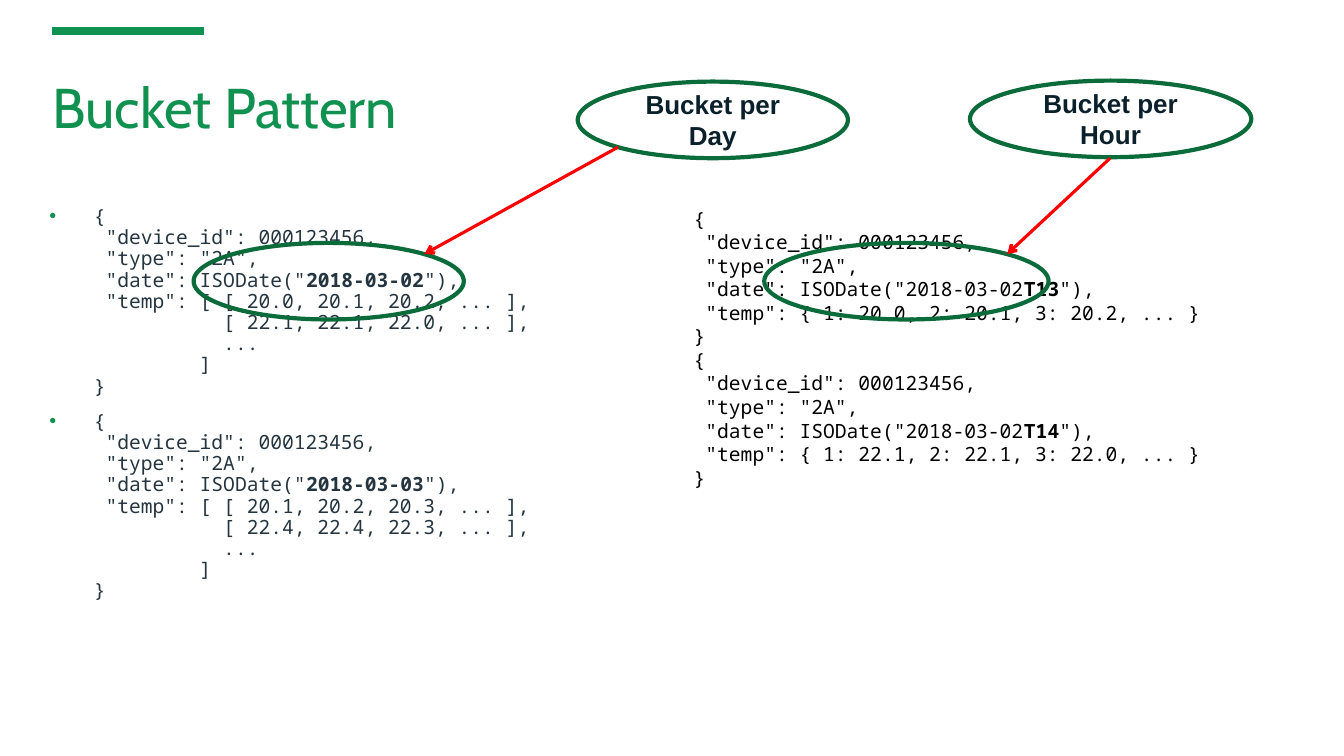
"""Build the Bucket Pattern slide: sensor readings bucketed per day and per hour."""
import pptx
import pptx.dml.color
import pptx.enum.shapes
import pptx.enum.text
import pptx.oxml
import pptx.oxml.ns
import pptx.util
from lxml import etree

Inches = pptx.util.Inches
Pt = pptx.util.Pt
qn = pptx.oxml.ns.qn

THEME = {
    "accent": "10914F", "ring": "0C6B3A", "arrow": "FF0000",
    "title": {"name": "Cabin", "size": Pt(40), "color": "10914F"},
    "day_code": {"name": "Noto Sans Mono", "size": Pt(14), "color": "243540"},
    "hour_code": {"name": "Noto Sans Mono", "size": Pt(14), "color": "000000"},
    "label": {"name": "Arial", "size": Pt(18.6), "color": "0A202A", "bold": True},
}

HEAD = '{\n "device_id": 000123456,\n "type": "2A",\n "date": ISODate("'
DAY_BUCKETS = [
    ("2018-03-02", "20.0, 20.1, 20.2", "22.1, 22.1, 22.0"),
    ("2018-03-03", "20.1, 20.2, 20.3", "22.4, 22.4, 22.3"),
]
HOUR_BUCKETS = [
    ("T13", "1: 20.0, 2: 20.1, 3: 20.2"),
    ("T14", "1: 22.1, 2: 22.1, 3: 22.0"),
]


def write(paragraph, text, style, **extra):
    for number, line in enumerate(text.split("\n")):
        if number:
            paragraph.add_line_break()
            line_break = paragraph._p.findall(qn("a:br"))[-1]
            properties = etree.SubElement(line_break, qn("a:rPr"), sz=str(int(style["size"].pt * 100)))
            etree.SubElement(properties, qn("a:latin"), typeface=style["name"])
        if line:
            run = paragraph.add_run()
            run.text = line
            for key, value in {**style, **extra}.items():
                if key == "color":
                    run.font.color.rgb = pptx.dml.color.RGBColor.from_string(value)
                else:
                    setattr(run.font, key, value)


def draw_line(start, end, color, width):
    line = slide.shapes.add_connector(
        pptx.enum.shapes.MSO_CONNECTOR.STRAIGHT, *map(Inches, start + end))
    line.line.color.rgb = pptx.dml.color.RGBColor.from_string(color)
    line.line.width = Pt(width)
    etree.SubElement(line._element.spPr, qn("a:effectLst"))
    return line


deck = pptx.Presentation()
deck.slide_width, deck.slide_height = Inches(13.33), Inches(7.5)
slide = deck.slides.add_slide(deck.slide_layouts[3])
title, day_code, hour_code = slide.placeholders

for region, box in [
    (title, (0.42, 0, 11.5, 1.45)),
    (day_code, (0.33, 2, 6.22, 4.76)),
    (hour_code, (6.78, 2, 6.22, 4.76)),
]:
    region.left, region.top, region.width, region.height = map(Inches, box)
    region.text_frame.auto_size = pptx.enum.text.MSO_AUTO_SIZE.NONE
    region.text_frame.word_wrap = True

title.text_frame.vertical_anchor = pptx.enum.text.MSO_ANCHOR.BOTTOM
heading = title.text_frame.paragraphs[0]
heading.alignment = pptx.enum.text.PP_ALIGN.LEFT
heading.line_spacing = 0.9
write(heading, "Bucket Pattern", THEME["title"])

for index, (day, first_hour, second_hour) in enumerate(DAY_BUCKETS):
    frame = day_code.text_frame
    bucket = frame.add_paragraph() if index else frame.paragraphs[0]
    layout = bucket._p.get_or_add_pPr()
    layout.set("marL", str(Inches(0.5)))
    layout.set("indent", str(Inches(-0.44)))
    bullet_color = etree.SubElement(layout, qn("a:buClr"))
    etree.SubElement(bullet_color, qn("a:srgbClr"), val=THEME["accent"])
    etree.SubElement(layout, qn("a:buFont"), typeface="Arial")
    etree.SubElement(layout, qn("a:buChar"), char="•")
    bucket.line_spacing = 0.9
    bucket.space_before = Pt(10 if index else 0)
    write(bucket, HEAD, THEME["day_code"])
    write(bucket, day, THEME["day_code"], bold=True)
    write(bucket, f'"),\n "temp": [ [ {first_hour}, ... ],\n'
          f'           [ {second_hour}, ... ],\n'
          '           ...\n         ]\n}', THEME["day_code"])

for index, (hour, minutes) in enumerate(HOUR_BUCKETS):
    frame = hour_code.text_frame
    bucket = frame.add_paragraph() if index else frame.paragraphs[0]
    layout = bucket._p.get_or_add_pPr()
    layout.set("marL", "0")
    layout.set("indent", "0")
    etree.SubElement(layout, qn("a:buNone"))
    bucket.line_spacing = 1.0
    bucket.space_before = Pt(0)
    write(bucket, HEAD + "2018-03-02", THEME["hour_code"])
    write(bucket, hour, THEME["hour_code"], bold=True)
    write(bucket, f'"),\n "temp": {{ {minutes}, ... }}\n}}', THEME["hour_code"])

draw_line((0.52, 0.31), (2.02, 0.31), THEME["accent"], 6)

for left, top, width, label in [
    (5.73, 0.81, 2.68, "Bucket per Day"),
    (9.62, 0.8, 2.79, "Bucket per Hour"),
    (1.92, 2.41, 2.68, ""),
    (7.58, 2.41, 2.82, ""),
]:
    ring = slide.shapes.add_shape(
        pptx.enum.shapes.MSO_SHAPE.OVAL, *map(Inches, (left, top, width, 0.76)))
    ring.shadow.inherit = False
    ring.fill.background()
    ring.line.color.rgb = pptx.dml.color.RGBColor.from_string(THEME["ring"])
    ring.line.width = Pt(3)
    if label:
        ring.text_frame.vertical_anchor = pptx.enum.text.MSO_ANCHOR.MIDDLE
        caption = ring.text_frame.paragraphs[0]
        caption.alignment = pptx.enum.text.PP_ALIGN.CENTER
        write(caption, label, THEME["label"])

for start, end in [((6.13, 1.46), (4.21, 2.52)), ((11.01, 1.57), (9.99, 2.52))]:
    pointer = draw_line(start, end, THEME["arrow"], 2.25)
    etree.SubElement(pointer.line._get_or_add_ln(), qn("a:tailEnd"), type="arrow")

deck.save("out.pptx")
